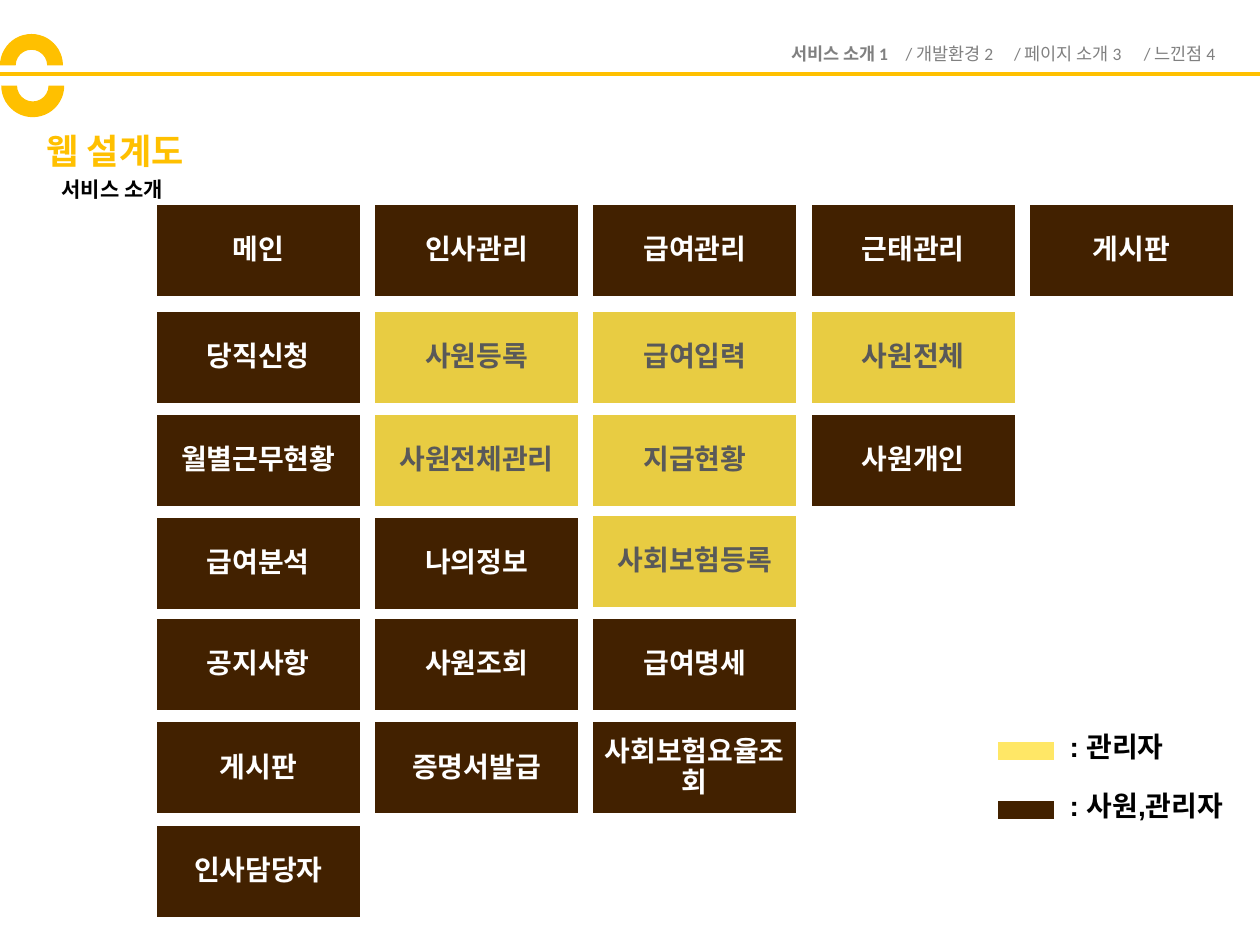
from lxml.etree import SubElement
from pptx import Presentation
from pptx.dml.color import RGBColor
from pptx.enum.shapes import MSO_CONNECTOR as CONN, MSO_SHAPE as SHAPE
from pptx.enum.text import MSO_ANCHOR as ANCHOR, MSO_AUTO_SIZE as AUTO, PP_ALIGN as ALIGN
from pptx.oxml.ns import qn
from pptx.util import Inches, Pt

GOLD, BROWN, YELLOW, PALE = "FFC000", "422100", "E8CC42", "FFE766"
WHITE, BLACK, GRAY, DARK_GRAY = "FFFFFF", "000000", "808080", "595959"
BODY, CELL, LEGEND = "Calibri", "Noto Sans CJK KR", "Arial"


def rgb(value):
    return RGBColor.from_string(value)


class SitemapSlide:
    """Holds the slide and its style."""

    def __init__(self, prs):
        self.s = prs.slides.add_slide(prs.slide_layouts[5])

    def style(self, item, size, color, font=BODY, bold=True):
        f = item.font
        f.size, f.name, f.bold = Pt(size), font, bold
        f.color.rgb = rgb(color)

    def title(self, text, x, y, w, h):
        sp = self.s.shapes.title
        sp.left, sp.top, sp.width, sp.height = map(Inches, (x, y, w, h))
        tf = sp.text_frame
        tf.vertical_anchor, tf.auto_size = ANCHOR.MIDDLE, AUTO.NONE
        p = tf.paragraphs[0]
        p.text, p.alignment, p.line_spacing = text, ALIGN.LEFT, 0.9
        self.style(p, 20, GOLD)

    def text(self, runs, x, y, w, h, size, color=BLACK, tabs=()):
        """Add a text box; each run is (text, font, bold)."""
        tf = self.s.shapes.add_textbox(*map(Inches, (x, y, w, h))).text_frame
        tf.word_wrap, tf.auto_size = True, AUTO.SHAPE_TO_FIT_TEXT
        p = tf.paragraphs[0]
        if tabs:
            tab_list = SubElement(p._p.get_or_add_pPr(), qn("a:tabLst"))
            for pos in tabs:
                SubElement(tab_list, qn("a:tab"), pos=str(Inches(pos)), algn="l")
        for text, font, bold in runs:
            r = p.add_run()
            r.text = text
            self.style(r, size, color, font, bold)

    def shape(self, kind, x, y, w, h, fill, border=None):
        sp = self.s.shapes.add_shape(kind, *map(Inches, (x, y, w, h)))
        sp.shadow.inherit = False
        sp.fill.solid()
        sp.fill.fore_color.rgb = rgb(fill)
        if border:
            sp.line.color.rgb, sp.line.width = rgb(WHITE), Pt(border)
        else:
            sp.line.fill.background()
        return sp

    def cell(self, text, x, y, w, h, admin_only):
        fill, color = (YELLOW, DARK_GRAY) if admin_only else (BROWN, WHITE)
        tf = self.shape(SHAPE.RECTANGLE, x, y, w, h, fill, 2).text_frame
        tf.margin_left = tf.margin_right = tf.margin_top = tf.margin_bottom = Inches(0.07)
        tf.word_wrap, tf.vertical_anchor = True, ANCHOR.MIDDLE
        p = tf.paragraphs[0]
        p.text, p.alignment = text, ALIGN.CENTER
        p.line_spacing, p.space_after = 0.9, Pt(5.6)
        self.style(p, 16, color, CELL)

    def rule(self, y):
        c = self.s.shapes.add_connector(CONN.STRAIGHT, 0, Inches(y), Inches(10), Inches(y))
        c.line.color.rgb, c.line.width = rgb(GOLD), Pt(2.25)
        SubElement(c._element.spPr, qn("a:effectLst"))


def main():
    prs = Presentation()
    prs.slide_width, prs.slide_height = Inches(10), Inches(7.5)
    page = SitemapSlide(prs)

    # Header: rule, titles, half rings and navigation
    page.rule(0.59)
    page.title("웹 설계도", 0.27, 1.07, 3.85, 0.29)
    page.text([("서비스 소개", BODY, True)], 0.39, 1.35, 2.85, 0.29, 12)
    page.shape(SHAPE.BLOCK_ARC, 0, 0.27, 0.5, 0.5, GOLD)
    page.shape(SHAPE.BLOCK_ARC, 0.01, 0.43, 0.5, 0.5, GOLD).rotation = 180
    page.text([("서비스 소개 1", BODY, True),
               ("\t/ 개발환경 2\t/ 페이지 소개 3\t/ 느낀점 4", BODY, False)],
              6.18, 0.29, 3.7, 0.27, 10, GRAY, tabs=(0.91, 1.77, 2.8))

    # Site map: one column per menu, menu name first
    menus = [
        ["메인", "당직신청", "월별근무현황", "급여분석", "공지사항", "게시판", "인사담당자"],
        ["인사관리", "사원등록", "사원전체관리", "나의정보", "사원조회", "증명서발급"],
        ["급여관리", "급여입력", "지급현황", "사회보험등록", "급여명세", "사회보험요율조회"],
        ["근태관리", "사원전체", "사원개인"],
        ["게시판"],
    ]
    admin_pages = {"사원등록", "사원전체관리", "급여입력", "지급현황", "사회보험등록", "사원전체"}
    row_tops = [1.61, 2.46, 3.28, 4.1, 4.9, 5.72, 6.54]
    first_left, last_left = 1.23, 8.16
    pitch = (last_left - first_left) / (len(menus) - 1)
    for col, menu in enumerate(menus):
        for name, top in zip(menu, row_tops):
            if name == "사회보험등록":
                top -= 0.02  # sits slightly above its row
            page.cell(name, first_left + col * pitch, top, 1.64, 0.75, name in admin_pages)

    # Legend
    legend = [
        (5.88, PALE, 1.26, [(": ", LEGEND, True), ("관리자", BODY, True)]),
        (6.35, BROWN, 1.61, [(": 사원,관리자", LEGEND, True)]),
    ]
    for y, color, width, runs in legend:
        page.shape(SHAPE.RECTANGLE, 7.91, y, 0.47, 0.16, color, 1.5)
        page.text(runs, 8.39, y - 0.14, width, 0.37, 16)

    prs.save("out.pptx")


if __name__ == "__main__":
    main()
